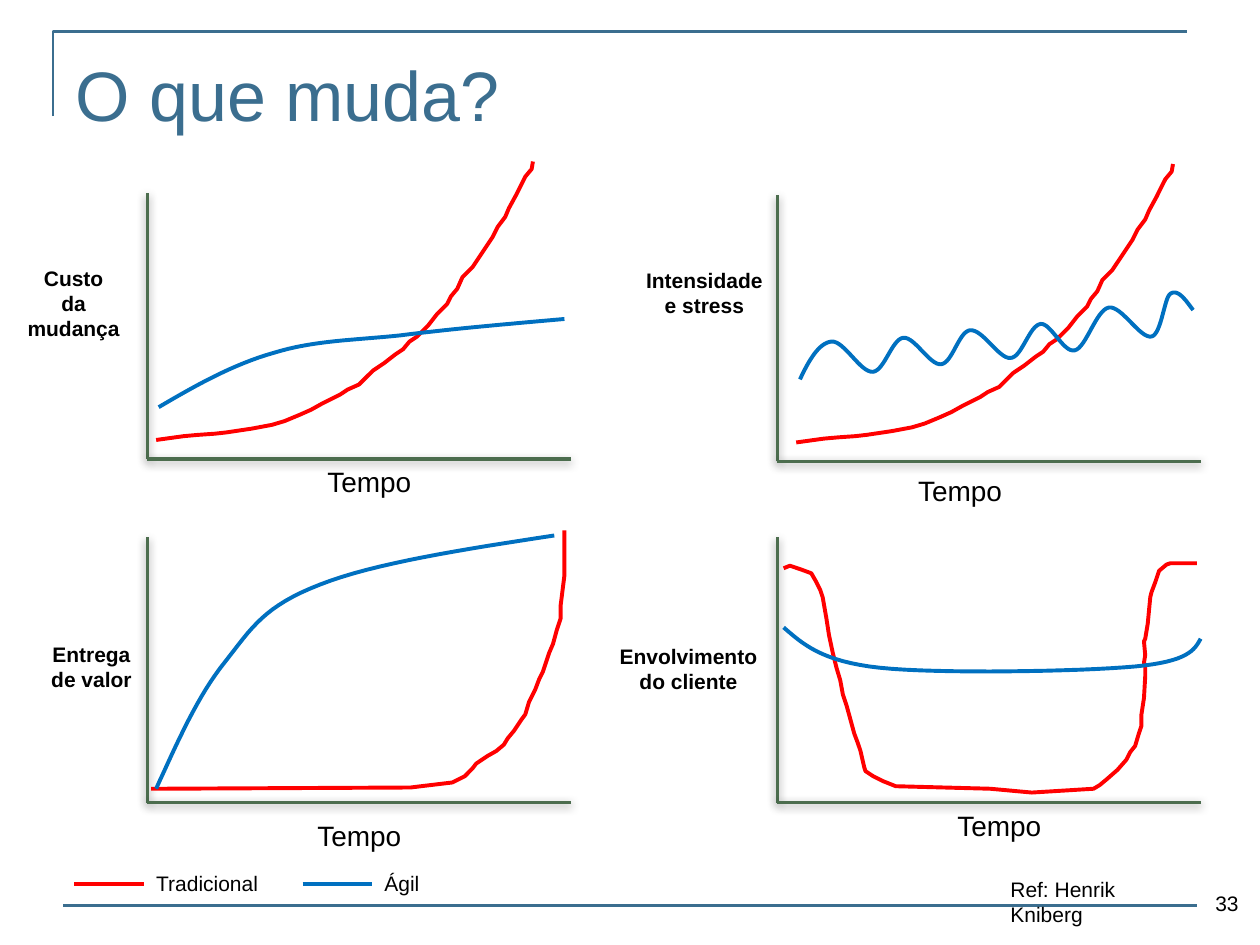
from lxml import etree
from pptx import Presentation
from pptx.dml.color import RGBColor
from pptx.enum.shapes import MSO_CONNECTOR
from pptx.enum.text import MSO_ANCHOR, PP_ALIGN
from pptx.oxml.ns import qn
from pptx.util import Cm, Pt

LEFT, MID, RIGHT = PP_ALIGN.LEFT, PP_ALIGN.CENTER, PP_ALIGN.RIGHT
STRAIGHT = MSO_CONNECTOR.STRAIGHT
TOP = MSO_ANCHOR.TOP
TITLE_ONLY = 5

FONT = "Arial"
BLACK, STEEL, GREEN = "000000", "3B6E8F", "4C6D4E"
RED, BLUE = "FF0000", "0070C0"
UNIT = 0.0254  # one plot unit, in cm
WIDE, HIGH = 336, 211  # axis lengths in plot units

# Curves in plot units from the corner of the axes, y upwards.
# Traditional curves are points; agile ones are Bezier control points.
RISE = [
    (7, 15), (29, 18), (40, 19), (54, 20), (63, 21), (83, 24), (99, 27),
    (109, 30), (121, 35), (130, 39), (139, 44), (153, 51), (159, 55),
    (168, 59), (173, 64), (179, 70), (188, 76), (197, 83), (203, 87),
    (208, 93), (214, 97), (223, 106), (230, 115), (238, 123), (241, 129),
    (246, 135), (250, 144), (258, 152), (264, 161), (270, 170), (274, 176),
    (278, 184), (284, 192), (287, 199), (293, 210), (296, 216), (300, 224),
    (305, 230), (306, 236)]
RISE_LATE = [(x + 8, y) for x, y in RISE]
LATE = [
    (3, 11), (209, 12), (217, 13), (242, 16), (252, 21), (258, 27),
    (261, 31), (270, 37), (277, 41), (283, 46), (286, 51), (291, 57),
    (297, 66), (300, 70), (303, 80), (308, 90), (311, 98), (314, 104),
    (316, 110), (319, 119), (322, 126), (325, 137), (328, 146), (328, 156),
    (331, 180), (331, 216)]
BASIN = [
    (5, 186), (10, 188), (19, 185), (27, 182), (31, 175), (34, 169),
    (36, 163), (39, 146), (41, 133), (44, 119), (47, 107), (50, 97),
    (52, 86), (55, 77), (58, 66), (61, 55), (64, 47), (66, 41), (69, 28),
    (70, 25), (76, 21), (84, 17), (94, 13), (169, 11), (202, 8), (251, 11),
    (256, 14), (262, 19), (270, 26), (277, 34), (280, 40), (284, 45),
    (287, 55), (289, 61), (289, 70), (291, 83), (292, 100), (292, 108),
    (291, 111), (292, 117), (291, 128), (292, 130), (294, 142), (296, 163),
    (297, 167), (300, 175), (302, 181), (303, 184), (309, 189), (312, 190),
    (333, 190)]
FLAT = [
    (9, 41), (38, 58), (68, 75), (100, 84), (132, 94), (163, 94), (201, 98),
    (240, 103), (286, 107), (331, 111)]
WAVE = [
    (18, 65), (25, 80), (33, 94), (43, 95), (53, 96), (66, 70), (76, 71),
    (85, 72), (91, 97), (100, 98), (109, 99), (121, 76), (130, 77),
    (139, 78), (144, 103), (153, 104), (163, 105), (176, 81), (185, 82),
    (194, 82), (200, 108), (209, 109), (217, 110), (227, 86), (236, 88),
    (245, 90), (253, 120), (263, 122), (273, 124), (288, 97), (297, 99),
    (305, 101), (307, 130), (312, 133), (318, 137), (324, 128), (330, 120)]
EARLY = [
    (7, 11), (24, 48), (40, 85), (62, 112), (83, 139), (93, 156), (137, 173),
    (180, 190), (251, 201), (323, 212)]
STEADY = [
    (5, 139), (20, 126), (35, 112), (81, 107), (128, 102), (241, 104),
    (284, 108), (326, 112), (331, 121), (336, 130)]

# Corner of the axes, label box and text, place of "Tempo", the two curves
CHARTS = [
    ((2.97, 9.25), (0.1, 5.23, 2.77, 1.8), ["Custo", "da", "mudança"],
     (6.35, 9.25), RISE, FLAT),
    ((15.67, 9.3), (12.7, 5.26, 3, 1.27), ["Intensidade", "e stress"],
     (18.26, 9.42), RISE_LATE, WAVE),
    ((2.97, 16.18), (0.74, 12.8, 2.21, 1.27), ["Entrega", "de valor"],
     (6.15, 16.38), LATE, EARLY),
    ((15.67, 16.18), (12.09, 12.85, 3.58, 1.27),
     ["Envolvimento", "do cliente"], (19.05, 16.18), BASIN, STEADY),
]


def color(code):
    return RGBColor.from_string(code)


def smooth(pts, steps=16):
    """Sample a chain of cubic Bezier curves."""
    out = [pts[0]]
    for i in range(0, len(pts) - 1, 3):
        for k in range(1, steps + 1):
            t = k / steps
            u = 1 - t
            parts = (u**3, 3 * u * u * t, 3 * u * t * t, t**3)
            out.append(tuple(
                sum(w * p[axis] for w, p in zip(parts, pts[i:i + 4]))
                for axis in (0, 1)))
    return out


class Page:
    def __init__(self, slide):
        self.slide = slide
        self.shapes = slide.shapes

    def style(self, frame, size, ink=BLACK, bold=False, align=LEFT):
        frame.word_wrap = True
        frame.vertical_anchor = TOP
        for para in frame.paragraphs:
            para.alignment = align
            for run in para.runs:
                font = run.font
                font.name, font.size, font.bold = FONT, Pt(size), bold
                font.color.rgb = color(ink)

    def title(self, text, box):
        shape = self.shapes.title
        shape.left, shape.top, shape.width, shape.height = map(Cm, box)
        frame = shape.text_frame
        frame.text = text
        frame.margin_top = Cm(0.28)
        self.style(frame, 40, STEEL, align=LEFT)

    def text(self, lines, box, size=12, bold=False, align=LEFT):
        frame = self.shapes.add_textbox(*map(Cm, box)).text_frame
        frame.text = "\n".join(lines)
        self.style(frame, size, bold=bold, align=align)

    def line(self, start, end, ink, width, shade=False):
        link = self.shapes.add_connector(
            STRAIGHT, *map(Cm, start), *map(Cm, end))
        link.line.color.rgb = color(ink)
        link.line.width = Pt(width)
        props = link._element.spPr
        effect = etree.SubElement(props, qn("a:effectLst"))
        if shade:
            shadow = etree.SubElement(
                effect, qn("a:outerShdw"), blurRad=str(Pt(5)),
                dist=str(Pt(1.6)), dir="5400000", rotWithShape="0")
            tint = etree.SubElement(shadow, qn("a:srgbClr"), val=BLACK)
            etree.SubElement(tint, qn("a:alpha"), val="38000")

    def curve(self, pts, ink, width):
        first, *rest = [(Cm(x), Cm(y)) for x, y in pts]
        build = self.shapes.build_freeform(*first)
        build.add_line_segments(rest, close=False)
        shape = build.convert_to_shape()
        shape.shadow.inherit = False
        shape.fill.background()
        shape.line.color.rgb = color(ink)
        shape.line.width = Pt(width)

    def chart(self, corner, box, label, spot, old, new):
        left, base = corner

        def place(pts):
            return [(left + x * UNIT, base - y * UNIT) for x, y in pts]

        for end in place([(0, HIGH), (WIDE, 0)]):
            self.line(corner, end, GREEN, 2, shade=True)
        self.text(label, box, bold=True, align=MID)
        self.text(["Tempo"], (*spot, 2.77, 0.94), 16)
        self.curve(place(old), RED, 2.25)
        self.curve(place(smooth(new)), BLUE, 2.25)

    def key(self, left, text, ink, width):
        end = left + 1.4
        self.line((left, 17.83), (end, 17.83), ink, 2.25)
        self.text([text], (end, 17.42, width, 0.76))


def main():
    deck = Presentation()
    deck.slide_width, deck.slide_height = Cm(25.4), Cm(19.05)
    page = Page(deck.slides.add_slide(deck.slide_layouts[TITLE_ONLY]))

    # Frame and title
    page.curve([(1.07, 2.34), (1.07, 0.64), (23.93, 0.64)], STEEL, 1.5)
    page.line((1.27, 18.26), (24.13, 18.26), STEEL, 1.5)
    page.title("O que muda?", (1.27, 0.76, 22.86, 3.18))

    # Four comparisons
    for parts in CHARTS:
        page.chart(*parts)

    # Legend, source and page number
    page.key(1.5, "Tradicional", RED, 2.6)
    page.key(6.1, "Ágil", BLUE, 1.3)
    page.text(["Ref: Henrik Kniberg"], (20.12, 17.55, 4.19, 0.76))
    page.text(["33"], (23.85, 17.83, 1.37, 1.22), align=RIGHT)

    deck.save("out.pptx")


if __name__ == "__main__":
    main()
